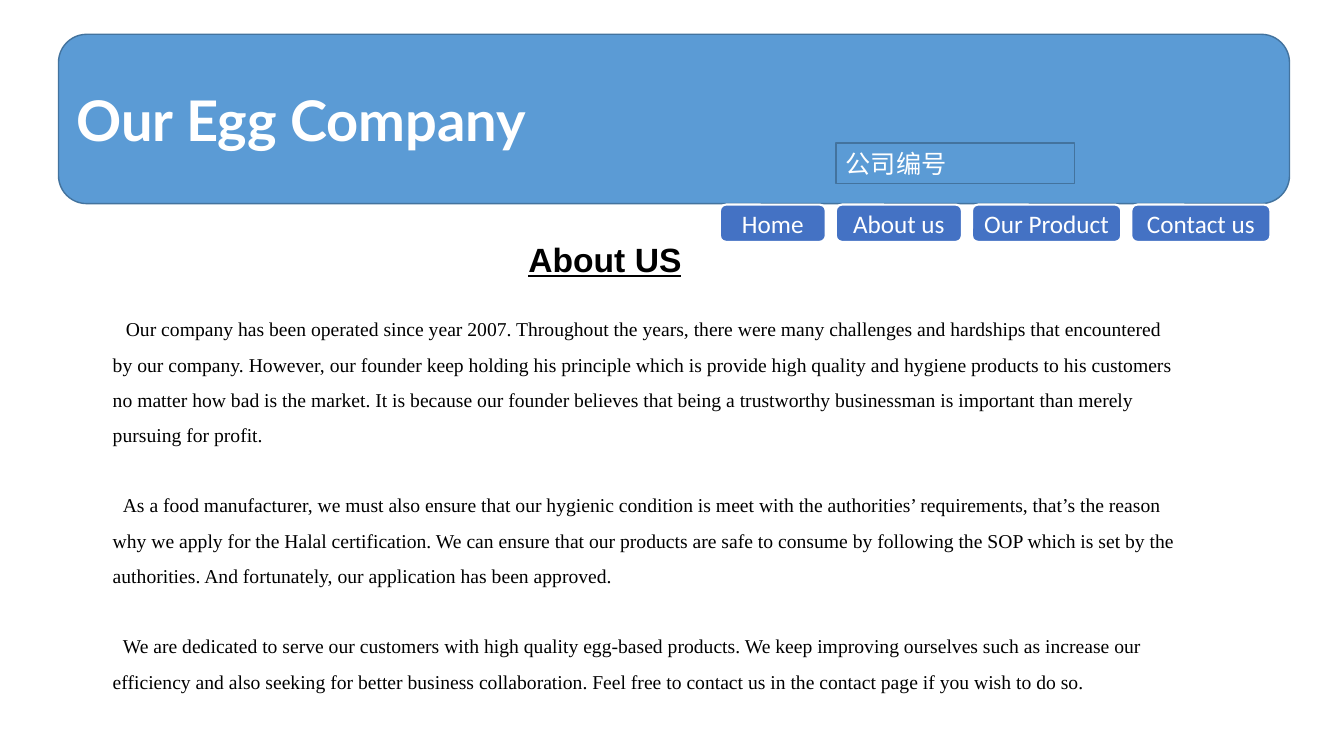
import pptx
import pptx.util
import pptx.dml.color
import pptx.enum.shapes
import pptx.enum.text

Inches, Pt = pptx.util.Inches, pptx.util.Pt
KIND = pptx.enum.shapes.MSO_SHAPE
ANCHOR = pptx.enum.text.MSO_ANCHOR
ALIGN = pptx.enum.text.PP_ALIGN

TITLE = "Our Egg Company"
NUMBER = "公司编号"
HEADING = "About US"
TABS = [("Home", 1.05), ("About us", 1.25), ("Our Product", 1.48), ("Contact us", 1.38)]
STORY = [
    (0.13, "Our company has been operated since year 2007. Throughout the years, there were many challenges and hardships that encountered by our company. However, our founder keep holding his principle which is provide high quality and hygiene products to his customers no matter how bad is the market. It is because our founder believes that being a trustworthy businessman is important than merely pursuing for profit."),
    (0.1, "As a food manufacturer, we must also ensure that our hygienic condition is meet with the authorities’ requirements, that’s the reason why we apply for the Halal certification. We can ensure that our products are safe to consume by following the SOP which is set by the authorities. And fortunately, our application has been approved."),
    (0.1, "We are dedicated to serve our customers with high quality egg-based products. We keep improving ourselves such as increase our efficiency and also seeking for better business collaboration. Feel free to contact us in the contact page if you wish to do so."),
]
COLORS = {"sky": "5B9BD5", "edge": "43739E", "tab": "4472C4", "white": "FFFFFF", "black": "000000"}
TAB_LEFT, TAB_TOP, TAB_HIGH, TAB_GAP = 7.14, 2.03, 0.37, 0.1


def color(name):
    return pptx.dml.color.RGBColor.from_string(COLORS[name])


def write(para, text, size, face, ink, bold=False, under=False):
    run = para.add_run()
    run.text = text
    font = run.font
    font.size, font.name = Pt(size), face
    font.bold, font.underline = bold, under
    font.color.rgb = color(ink)


def panel(slide, kind, place, fill, edge, width, anchor=ANCHOR.MIDDLE, align=ALIGN.LEFT):
    shape = slide.shapes.add_shape(kind, *map(Inches, place))
    shape.shadow.inherit = False
    shape.fill.solid()
    shape.fill.fore_color.rgb = color(fill)
    shape.line.color.rgb = color(edge)
    shape.line.width = Pt(width)
    frame = shape.text_frame
    frame.word_wrap = True
    frame.vertical_anchor = anchor
    para = frame.paragraphs[0]
    para.alignment = align
    return para


def textbox(slide, place):
    frame = slide.shapes.add_textbox(*map(Inches, place)).text_frame
    frame.word_wrap = True
    return frame


def main():
    """Build the company's About Us page."""
    deck = pptx.Presentation()
    deck.slide_width, deck.slide_height = Inches(13.33), Inches(7.5)
    slide = deck.slides.add_slide(deck.slide_layouts[6])

    banner = panel(slide, KIND.ROUNDED_RECTANGLE, (0.58, 0.34, 12.21, 1.68), "sky", "edge", 1)
    write(banner, TITLE, 40, "Lato", "white", bold=True)
    number = panel(slide, KIND.RECTANGLE, (8.29, 1.42, 2.37, 0.4), "sky", "edge", 1, ANCHOR.TOP)
    write(number, NUMBER, 18, "Calibri", "white")

    heading = textbox(slide, (4.11, 2.32, 3.78, 0.5)).paragraphs[0]
    heading.alignment = ALIGN.CENTER
    write(heading, HEADING, 24, "Arial", "black", bold=True, under=True)

    left = TAB_LEFT
    for label, wide in TABS:
        tab = panel(slide, KIND.ROUNDED_RECTANGLE, (left, TAB_TOP, wide, TAB_HIGH),
                    "tab", "white", 1.5, align=ALIGN.CENTER)
        write(tab, label, 18, "Calibri", "white")
        left += wide + TAB_GAP

    frame = textbox(slide, (1.02, 2.9, 10.77, 4.09))
    frame.margin_top = Inches(0.13)
    for index, (indent, text) in enumerate(STORY):
        para = frame.add_paragraph() if index else frame.paragraphs[0]
        para.line_spacing = 1.5
        para.space_before = Pt(25 if index else 0)
        props = para._p.get_or_add_pPr()
        props.set("marL", "0")
        props.set("indent", str(Inches(indent)))
        write(para, text, 14, "Times New Roman", "black")

    deck.save("out.pptx")


if __name__ == "__main__":
    main()
